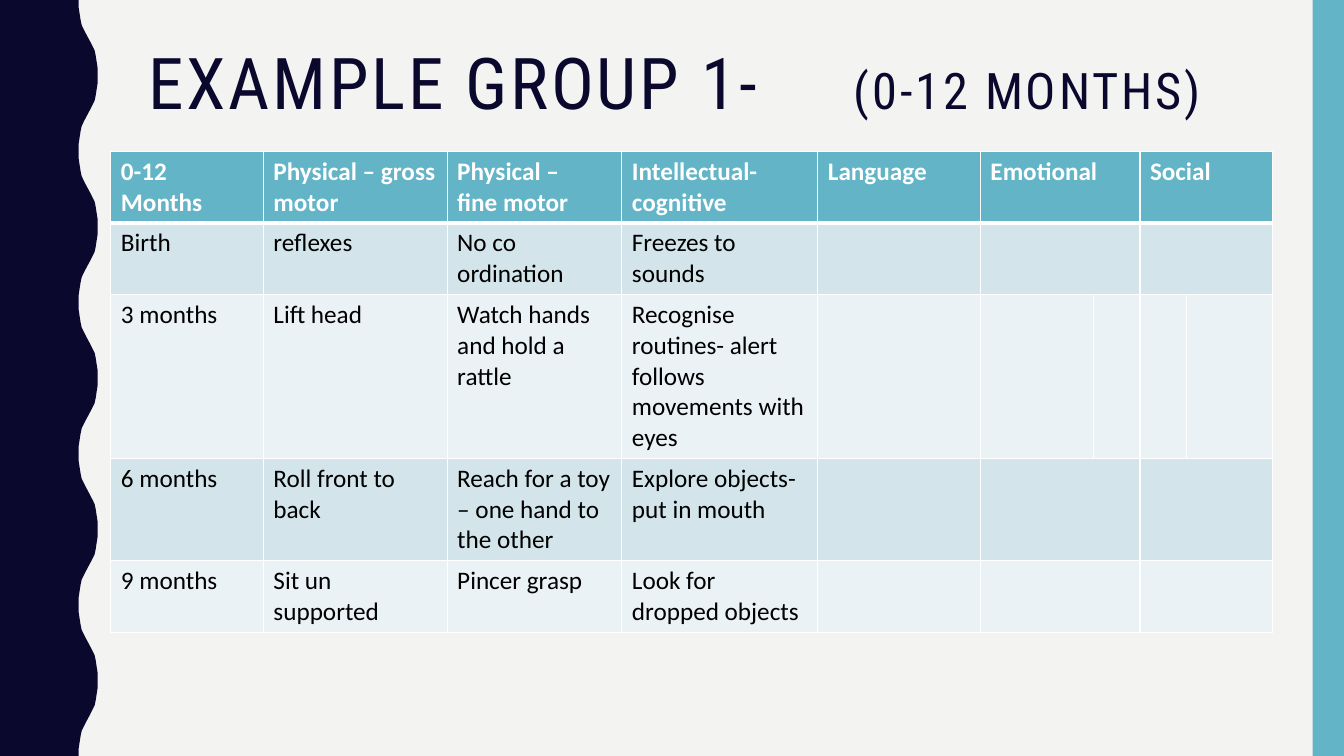
import dataclasses
import lxml.etree
import pptx
import pptx.dml.color
import pptx.enum.shapes
import pptx.enum.text
import pptx.oxml
import pptx.oxml.ns
import pptx.util


@dataclasses.dataclass(frozen=True)
class Theme:
    navy: str = "0B082E"
    teal: str = "62B4C6"
    page: str = "F3F3F2"
    white: str = "FFFFFF"
    black: str = "000000"
    bands: tuple = ("D3E5EA", "EAF2F5")
    head: str = "Roboto Condensed"
    body: str = "Calibri"
    large: int = 51
    mid: int = 36
    small: int = 18


def color(code):
    return pptx.dml.color.RGBColor.from_string(code)


def write(para, text, font, size, ink, bold=False, track=0):
    run = para.add_run()
    run.text = text
    run.font.name = font
    run.font.size = pptx.util.Pt(size)
    run.font.bold = bold
    run.font.color.rgb = color(ink)
    if track:
        run.font._element.set("spc", str(track * 100))


def add(parent, tag, **attrs):
    return lxml.etree.SubElement(parent, pptx.oxml.ns.qn(tag), attrs)


class Deck:
    def __init__(self, theme):
        self.theme = theme
        self.show = pptx.Presentation()
        self.show.slide_width = pptx.util.Inches(13.33)
        self.show.slide_height = pptx.util.Inches(7.5)
        self.slide = self.show.slides.add_slide(self.show.slide_layouts[5])
        self.slide.background.fill.solid()
        self.slide.background.fill.fore_color.rgb = color(theme.page)

    def wide(self, share):
        return round(self.show.slide_width * share / 100)

    def high(self, share):
        return round(self.show.slide_height * share / 100)

    def box(self, left, top, width, height):
        return self.wide(left), self.high(top), self.wide(width), self.high(height)

    def paint(self, shape, fill):
        shape.shadow.inherit = False
        shape.fill.solid()
        shape.fill.fore_color.rgb = color(fill)
        shape.line.fill.background()

    def bar(self, place, fill):
        kind = pptx.enum.shapes.MSO_SHAPE.RECTANGLE
        self.paint(self.slide.shapes.add_shape(kind, *self.box(*place)), fill)

    def wave(self, curve, step, fill):
        ends = curve[0][1] + 2 * curve[-1][1] - curve[0][1]
        half = curve + [(step - y, ends - x) for y, x in reversed(curve[:-1])]
        full = half + [(2 * step - y, x) for y, x in reversed(half[:-1])]
        edge = [(self.wide(x), self.high(y + top))
                for top in range(0, 100, 2 * step) for y, x in full]
        form = self.slide.shapes.build_freeform(0, 0)
        form.add_line_segments(edge + [(0, self.high(100))], close=True)
        self.paint(form.convert_to_shape(), fill)

    def title(self, place, main, side, stop):
        look = self.theme
        shape = self.slide.shapes.title
        shape.left, shape.top, shape.width, shape.height = self.box(*place)
        frame = shape.text_frame
        frame.word_wrap = True
        frame.auto_size = pptx.enum.text.MSO_AUTO_SIZE.NONE
        frame.vertical_anchor = pptx.enum.text.MSO_ANCHOR.TOP
        para = frame.paragraphs[0]
        tabs = add(para._p.get_or_add_pPr(), "a:tabLst")
        add(tabs, "a:tab", pos=str(self.wide(stop)), algn="l")
        para.alignment = pptx.enum.text.PP_ALIGN.LEFT
        para.line_spacing = 0.9
        for text, size in ((main, look.large), ("\t" + side, look.mid)):
            write(para, text, look.head, size, look.navy, track=2)

    def edges(self, cell, **widths):
        props = cell._tc.get_or_add_tcPr()
        for spot, side in enumerate("LRTB"):
            width = pptx.util.Pt(widths.get(side, 1))
            line = add(props, "a:ln" + side, w=str(width))
            add(add(line, "a:solidFill"), "a:srgbClr", val=self.theme.white)
            props.insert(spot, line)

    def cell(self, cell, text, row):
        look = self.theme
        cell.fill.solid()
        cell.fill.fore_color.rgb = color(look.bands[(row - 1) % 2] if row else look.teal)
        self.edges(cell, **({1: {"T": 3}, 0: {"B": 3}}.get(row, {})))
        frame = cell.text_frame
        for spot, part in enumerate(text.split("\n") if text else []):
            para = frame.add_paragraph() if spot else frame.paragraphs[0]
            write(para, part, look.body, look.small,
                  look.black if row else look.white, bold=not row)

    def table(self, place, cols, lines, rows, pairs, split):
        shape = self.slide.shapes.add_table(len(rows), len(cols), *self.box(*place))
        grid = shape.table
        grid.horz_banding = False
        for col, part in zip(grid.columns, cols):
            col.width = self.wide(place[2] * part / sum(cols))
        for row, count in zip(grid.rows, lines):
            row.height = pptx.util.Inches(0.1 + 0.305 * count)
        for r, texts in enumerate(rows):
            for c in range(len(cols)):
                self.cell(grid.cell(r, c), texts.get(c, ""), r)
            if r != split:
                for c in pairs:
                    grid.cell(r, c).merge(grid.cell(r, c + 1))


def main():
    look = Theme()
    deck = Deck(look)
    curve = [(0, 5.85), (0.93, 5.85), (1.87, 5.93), (2.67, 6), (3.33, 6.08),
             (3.87, 6.23), (4.4, 6.38), (5, 6.56)]
    deck.wave(curve, 10, look.navy)
    deck.bar((97.66, 0, 2.34, 100), look.teal)
    deck.title((10.28, 5.6, 83.5, 21.73), "EXAMPLE GROUP 1-", "(0-12 MONTHS)", 52.5)
    heads = ["0-12 Months", "Physical – gross motor", "Physical –\nfine motor",
             "Intellectual- cognitive", "Language"]
    ages = [
        ["Birth", "reflexes", "No co ordination", "Freezes to sounds"],
        ["3 months", "Lift head", "Watch hands and hold a rattle",
         "Recognise routines- alert follows movements with eyes"],
        ["6 months", "Roll front to back", "Reach for a toy – one hand to the other",
         "Explore objects-put in mouth"],
        ["9 months", "Sit un supported", "Pincer grasp", "Look for dropped objects"],
    ]
    rows = [dict(enumerate(texts)) for texts in [heads] + ages]
    rows[0].update({5: "Emotional", 7: "Social"})
    cols = [1.51, 1.82, 1.73, 1.94, 1.61, 1.12, 0.46, 0.46, 0.85]
    deck.table((8.25, 20, 86.42, 63.7), cols, [2, 2, 5, 3, 2], rows, (5, 7), 2)
    deck.show.save("out.pptx")


if __name__ == "__main__":
    main()
